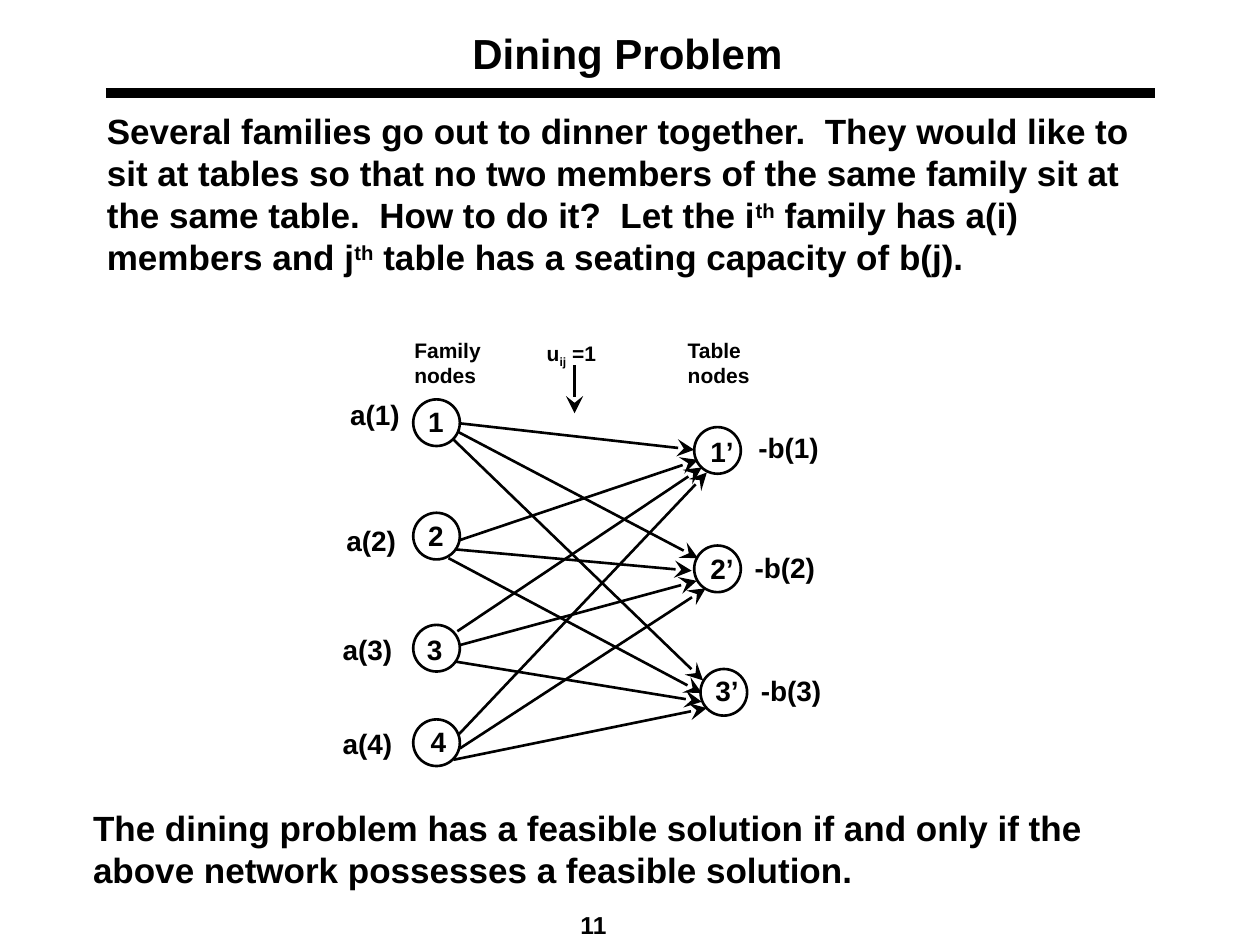
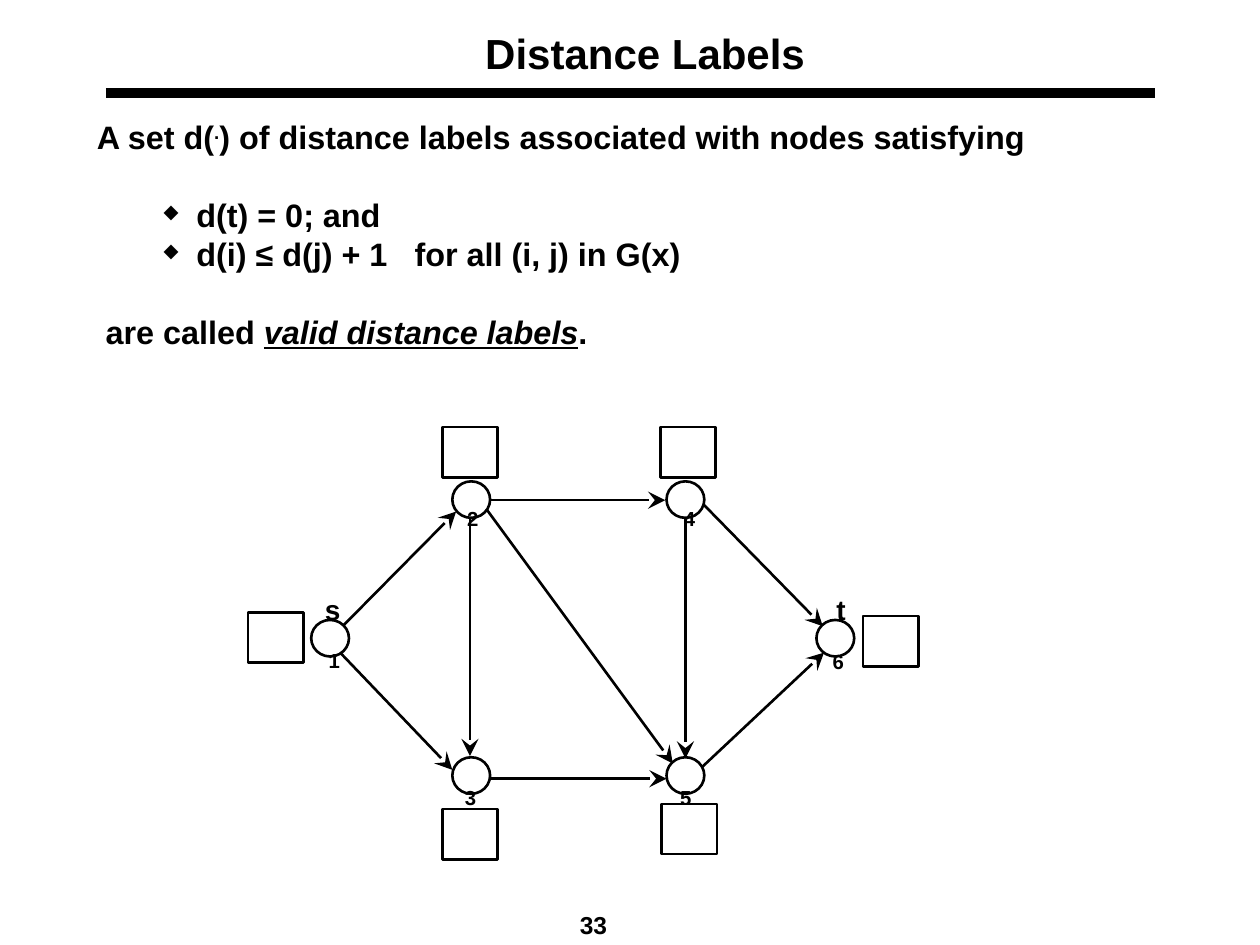
from lxml import etree
from pptx import Presentation
from pptx.dml.color import RGBColor
from pptx.enum.shapes import MSO_CONNECTOR, MSO_SHAPE
from pptx.enum.text import MSO_ANCHOR, MSO_AUTO_SIZE, PP_ALIGN
from pptx.oxml.ns import qn
from pptx.util import Inches, Pt

OVAL, RECT, STRAIGHT = MSO_SHAPE.OVAL, MSO_SHAPE.RECTANGLE, MSO_CONNECTOR.STRAIGHT
LEFT, CENTER = PP_ALIGN.LEFT, PP_ALIGN.CENTER
NO_FIT, MIDDLE = MSO_AUTO_SIZE.NONE, MSO_ANCHOR.MIDDLE

WIDTH, HEIGHT = 10, 7.5
COLORS = {"ink": "000000", "paper": "FFFFFF"}
FONT = "Arial"
TITLE_LEFT, TITLE_TOP, TITLE_HEIGHT = 0.73, 0.23, 0.37
RULE = (0.84, 0.74, 9.17, 0.74)
NUMBER_BOX = (3.67, 7.17, 2.08, 0.25)
BLANK_LINE = 22.3

SUPER, SUB, DROPPED = {"baseline": 30}, {"baseline": -25}, {"baseline": -20}
WIDE_SPACE = {"spc": 1030}
TERM = {"italic": True, "underline": True}
BULLET = {"indent": (0.79, -0.26), "bullet": "◆"}

DINING_TEXT = [([
    ("Several families go out to dinner together.  They would like to sit at tables "
     "so that no two members of the same family sit at the same table.  "
     "How to do it?  Let the i", {}),
    ("th", SUPER), (" family has a(i) members and j", {}),
    ("th", SUPER), (" table has a seating capacity of b(j).", {})], {})]
DINING_RESULT = [([("The dining problem has a feasible solution if and only if the "
                    "above network possesses a feasible solution.", {})], {})]
DINING_NODE = 0.37
FAMILY_LEFT = 3.28
FAMILIES = [
    ("1", 3.17, (3.30, 3.16), (2.68, 3.11)),
    ("2", 4.07, (3.30, 4.07), (2.65, 4.11)),
    ("3", 4.96, (3.29, 4.97), (2.62, 4.97)),
    ("4", 5.71, (3.32, 5.70), (2.62, 5.72)),
]
TABLES = [
    ("1", (5.51, 3.39), (5.54, 3.40), (5.92, 3.37)),
    ("2", (5.51, 4.33), (5.54, 4.33), (5.89, 4.32)),
    ("3", (5.56, 5.31), (5.58, 5.30), (5.94, 5.30)),
]
SEATING_ARCS = [
    (3.65, 3.36, 5.51, 3.57), (3.64, 3.43, 5.54, 4.43), (3.60, 3.49, 5.58, 5.40),
    (3.64, 4.29, 5.54, 3.65), (3.61, 4.36, 5.49, 4.53), (3.56, 4.43, 5.57, 5.50),
    (3.63, 5.01, 5.57, 3.71), (3.65, 5.12, 5.53, 4.61), (3.61, 5.25, 5.57, 5.57),
    (3.64, 5.83, 5.61, 3.75), (3.65, 5.94, 5.60, 4.67), (3.60, 6.03, 5.61, 5.62),
]
CAPACITY_ARROW = (4.56, 2.90, 4.56, 3.28)
HEADINGS = [
    ((3.19, 2.63, 0.73, 0.5), [[("Family", {})], [("nodes", {})]]),
    ((5.36, 2.63, 0.69, 0.5), [[("Table", {})], [("nodes", {})]]),
    ((4.24, 2.65, 0.59, 0.33), [[("u", {}), ("ij", SUB), (" =1", {})]]),
]

DISTANCE_TEXT = [
    ([("A set d(", {}), (".", SUPER),
      (") of distance labels associated with nodes satisfying", {})], {}),
    ([("d(t) = 0; and", {})], {**BULLET, "before": BLANK_LINE}),
    ([("d(i) ≤ d(j) + 1", {}), (" ", WIDE_SPACE), ("for all (i, j) in G(x)", {})], BULLET),
    ([("are called ", {}), ("valid distance labels", TERM), (".", {})],
     {"indent": (0.07, 0), "before": BLANK_LINE}),
]
NODE_SIZE, LABEL_SIZE = (0.3, 0.29), (0.44, 0.4)
GRAPH_NODES = [
    ("1", (2.47, 4.92), (2.51, 4.92), (1.97, 4.86)),
    ("2", (3.59, 3.82), (3.61, 3.80), (3.51, 3.39)),
    ("3", (3.59, 6.01), (3.59, 6.01), (3.51, 6.42)),
    ("4", (5.29, 3.82), (5.33, 3.80), (5.24, 3.39)),
    ("5", (5.29, 6.01), (5.30, 6.01), (5.25, 6.38)),
    ("6", (6.48, 4.92), (6.51, 4.93), (6.85, 4.89)),
]
GRAPH_ARCS = [
    (2.72, 4.97, 3.62, 4.06), (2.70, 5.18, 3.59, 6.11), (3.88, 3.97, 5.28, 3.97),
    (3.73, 4.11, 3.73, 6.00), (3.86, 4.04, 5.34, 6.06), (3.88, 6.18, 5.29, 6.18),
    (5.44, 4.12, 5.44, 6.02), (5.58, 4.00, 6.53, 4.97), (5.57, 6.09, 6.54, 5.18),
]
TERMINALS = [("s", (2.48, 4.65, 0.32, 0.37)), ("t", (6.54, 4.65, 0.27, 0.37))]


def rgb(name):
    return RGBColor.from_string(COLORS[name])


def inches(values):
    return [Inches(v) for v in values]


def add_run(p, text, size, fmt):
    r = p.add_run()
    r.text = text
    for name, value in {"name": FONT, "size": Pt(size), "bold": True}.items():
        setattr(r.font, name, value)
    r.font.color.rgb = rgb("ink")
    for name, value in fmt.items():
        if name == "baseline":
            r.font._element.set(name, str(value * 1000))
        elif name == "spc":
            r.font._element.set(name, str(value))
        else:
            setattr(r.font, name, value)


def format_paragraph(p, indent=(0, 0), bullet=None, before=0):
    pPr = p._p.get_or_add_pPr()
    for name, value in zip(("marL", "indent"), indent):
        pPr.set(name, str(Inches(value)))
    if bullet:
        color = etree.SubElement(pPr, qn("a:buClr"))
        etree.SubElement(color, qn("a:srgbClr"), val=COLORS["ink"])
        etree.SubElement(pPr, qn("a:buSzPct"), val="60000")
        etree.SubElement(pPr, qn("a:buChar"), char=bullet)
    p.space_before = Pt(before)


def add_text(s, box, paragraphs, size, align=LEFT, right_inset=0.1):
    tf = s.shapes.add_textbox(*inches(box)).text_frame
    tf.word_wrap, tf.auto_size = True, NO_FIT
    tf.margin_right = Inches(right_inset)
    for i, runs in enumerate(paragraphs):
        p = tf.add_paragraph() if i else tf.paragraphs[0]
        p.alignment = align
        for text, fmt in runs:
            add_run(p, text, size, fmt)
    return tf


def add_body(s, box, paragraphs, size):
    tf = add_text(s, box, [runs for runs, _ in paragraphs], size)
    for p, (_, fmt) in zip(tf.paragraphs, paragraphs):
        format_paragraph(p, **fmt)


def add_label(s, text, box, size=16, fmt={}):
    add_text(s, box, [[(text, fmt)]], size, right_inset=0)


def add_outline(s, kind, at, size, filled=True):
    sp = s.shapes.add_shape(kind, *inches((*at, *size)))
    sp.shadow.inherit = False
    if filled:
        sp.fill.solid()
        sp.fill.fore_color.rgb = rgb("paper")
    else:
        sp.fill.background()
    sp.line.color.rgb = rgb("ink")
    sp.line.width = Pt(1.5)


def add_line(s, ends, width=1.5, arrow=True):
    line = s.shapes.add_connector(STRAIGHT, *inches(ends))
    line.line.color.rgb = rgb("ink")
    line.line.width = Pt(width)
    if arrow:
        etree.SubElement(line.line._get_or_add_ln(), qn("a:tailEnd"),
                         type="stealth", w="lg", len="lg")
    etree.SubElement(line._element.spPr, qn("a:effectLst"))


def add_slide(prs, title, title_width, number):
    s = prs.slides.add_slide(prs.slide_layouts[5])
    add_line(s, RULE, 6, arrow=False)
    sp = s.shapes.title
    box = inches((TITLE_LEFT, TITLE_TOP, title_width, TITLE_HEIGHT))
    for name, value in zip(("left", "top", "width", "height"), box):
        setattr(sp, name, value)
    tf = sp.text_frame
    tf.auto_size, tf.vertical_anchor, tf.word_wrap = NO_FIT, MIDDLE, True
    p = tf.paragraphs[0]
    p.alignment = CENTER
    add_run(p, title, 24, {})
    add_text(s, NUMBER_BOX, [[(number, {})]], 14, CENTER)
    return s


def build_dining(prs):
    s = add_slide(prs, "Dining Problem", 8.5, "11")
    add_body(s, (0.75, 0.82, 8.5, 1.66), DINING_TEXT, 20)
    add_body(s, (0.64, 6.35, 8.5, 0.8), DINING_RESULT, 20)
    size = (DINING_NODE, DINING_NODE)
    for name, top, name_at, supply_at in FAMILIES:
        add_outline(s, OVAL, (FAMILY_LEFT, top), size, filled=False)
        add_label(s, name, (*name_at, 0.32, 0.37))
        add_label(s, f"a({name})", (*supply_at, 0.59, 0.37))
    for name, node_at, name_at, demand_at in TABLES:
        add_outline(s, OVAL, node_at, size, filled=False)
        add_label(s, f"{name}’", (*name_at, 0.38, 0.37))
        add_label(s, f"-b({name})", (*demand_at, 0.68, 0.37))
    for ends in SEATING_ARCS + [CAPACITY_ARROW]:
        add_line(s, ends)
    for box, paragraphs in HEADINGS:
        add_text(s, box, paragraphs, 12, right_inset=0)


def build_distance(prs):
    s = add_slide(prs, "Distance Labels", 8.78, "33")
    add_body(s, (0.67, 0.88, 8.79, 2.1), DISTANCE_TEXT, 18.5)
    for _, node_at, _, _ in GRAPH_NODES:
        add_outline(s, OVAL, node_at, NODE_SIZE)
    for ends in GRAPH_ARCS:
        add_line(s, ends)
    for name, _, name_at, _ in GRAPH_NODES:
        add_label(s, name, (*name_at, 0.29, 0.47), 20, DROPPED)
    for name, box in TERMINALS:
        add_label(s, name, box)
    for _, _, _, label_at in GRAPH_NODES:
        add_outline(s, RECT, label_at, LABEL_SIZE)


def main():
    prs = Presentation()
    prs.slide_width, prs.slide_height = inches((WIDTH, HEIGHT))
    build_dining(prs)
    build_distance(prs)
    prs.save("out.pptx")


if __name__ == "__main__":
    main()
